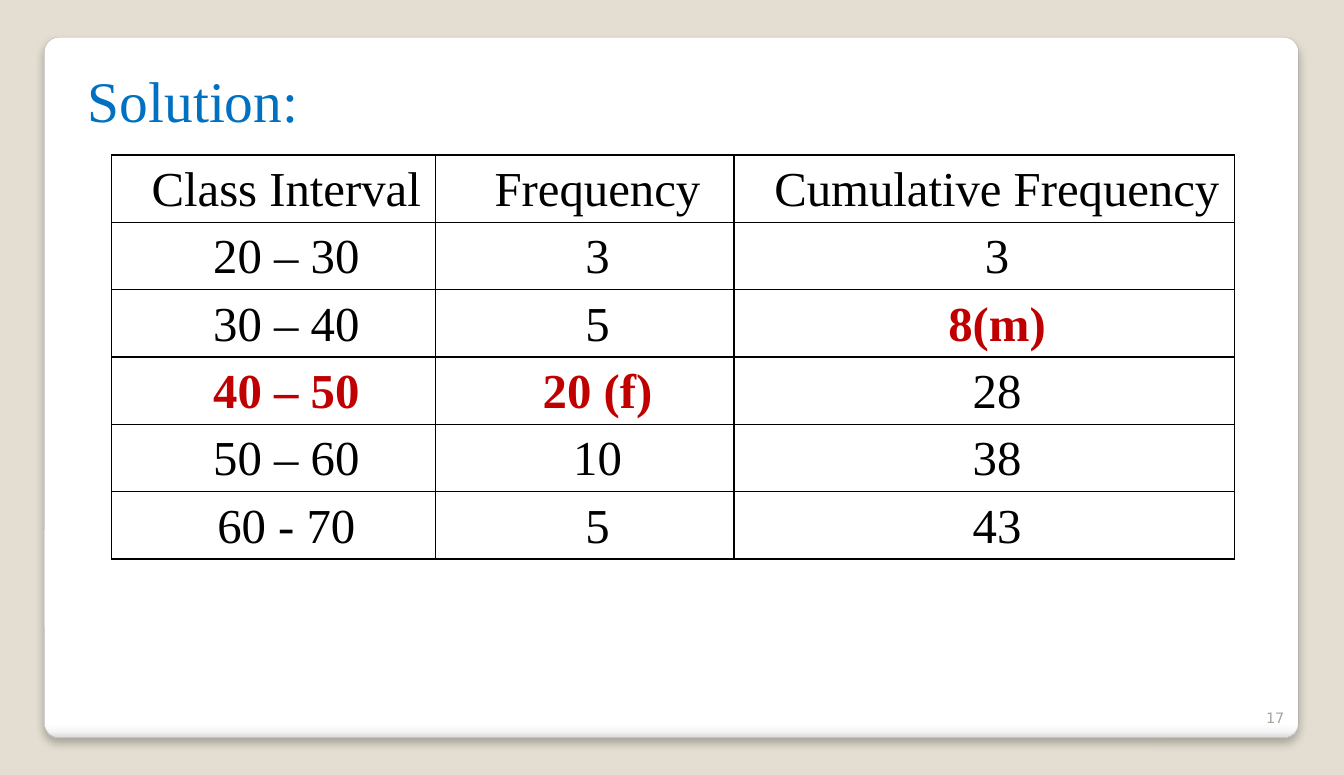
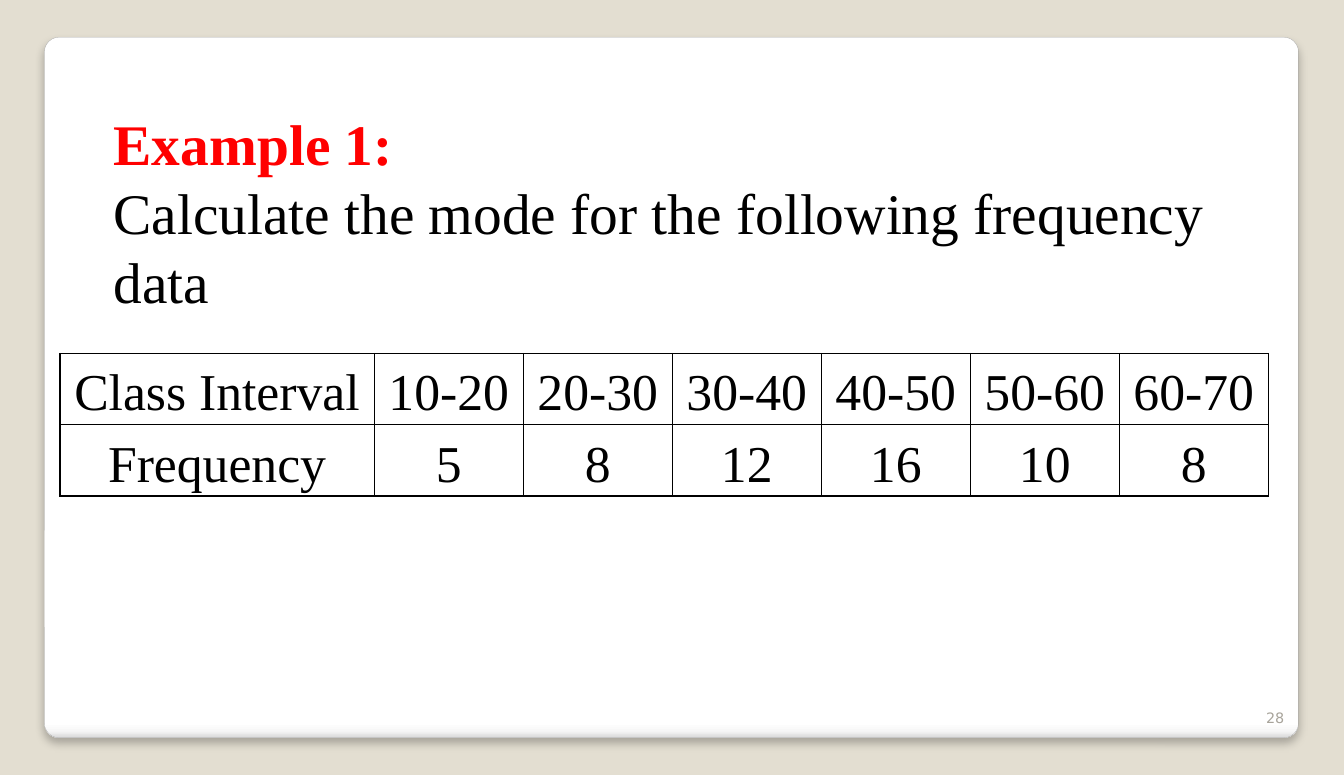
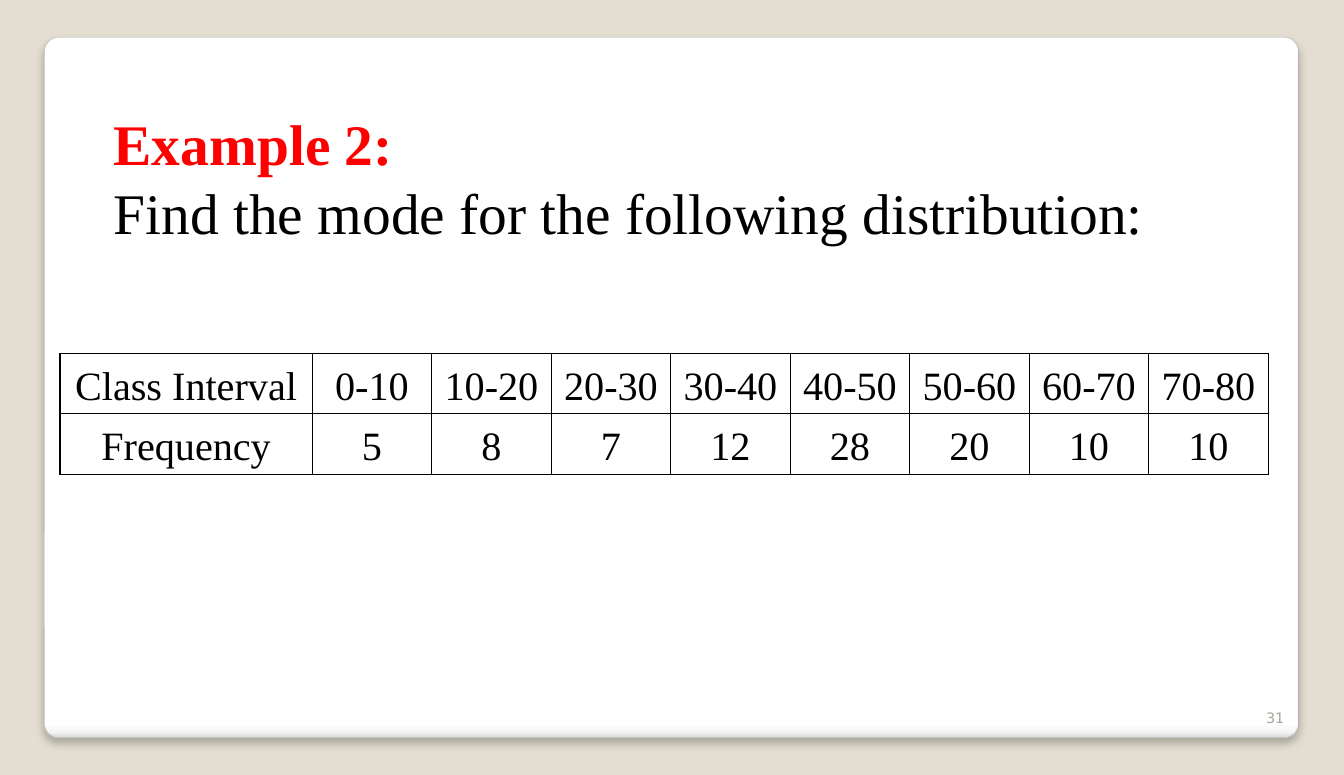
import pptx
import pptx.util
import pptx.dml.color
import pptx.enum.shapes
import pptx.enum.text
import pptx.oxml
import pptx.oxml.ns

COLS, ROWS = 52, 30
WIDTH, HEIGHT = pptx.util.Inches(13), pptx.util.Inches(7.5)
SERIF, SANS = "Times New Roman", "DejaVu Sans"
BACKDROP, PANEL_LINE, NUMBER = "E3DED1", "A4A4A4", "A8A49B"
BLACK, BLUE, RED, KEY = "000000", "0070C0", "FF0000", "C00000"
PANEL_STOPS = [(0, "FFFFFF"), (98, "FFFFFF"), (99, "F7F7F7"), (100, "DADADA")]
ALIGN = pptx.enum.text.PP_ALIGN
ANCHOR = pptx.enum.text.MSO_ANCHOR


def rgb(code):
    return pptx.dml.color.RGBColor.from_string(code)


def across(n):
    return round(WIDTH * n / COLS)


def down(n):
    return round(HEIGHT * n / ROWS)


def xml(tag, body, attrs=""):
    ns = pptx.oxml.ns.nsdecls("a")
    return pptx.oxml.parse_xml(f"<a:{tag} {ns} {attrs}>{body}</a:{tag}>")


class Deck:
    def __init__(self):
        self.prs = pptx.Presentation()
        self.prs.slide_width, self.prs.slide_height = WIDTH, HEIGHT
        self.layout = self.prs.slide_layouts.get_by_name("Title Only")
        fill = self.prs.slide_master.background.fill
        fill.solid()
        fill.fore_color.rgb = rgb(BACKDROP)
        self.s = None

    def slide(self, number):
        first = self.s is None
        self.s = self.prs.slides.add_slide(self.layout)
        if first:
            self.panel()
        self.number(number)

    def panel(self):
        sp = self.s.shapes.add_shape(
            pptx.enum.shapes.MSO_SHAPE.ROUNDED_RECTANGLE,
            across(1.72), down(1.44), across(48.52), down(27.12))
        sp.adjustments[0] = 0.021
        sp.line.color.rgb = rgb(PANEL_LINE)
        sp.line.width = pptx.util.Pt(0.16)
        stops = "".join(
            f'<a:gs pos="{pos * 1000}"><a:srgbClr val="{code}"/></a:gs>'
            for pos, code in PANEL_STOPS)
        spPr = sp.element.spPr
        spPr.insert(2, xml("gradFill", f'<a:gsLst>{stops}</a:gsLst>'
                           '<a:lin ang="5400000" scaled="0"/>'))
        spPr.append(xml("effectLst", (
            f'<a:outerShdw blurRad="{pptx.util.Pt(6)}" dist="{pptx.util.Pt(4)}" '
            'dir="5400000" algn="t" rotWithShape="0">'
            '<a:srgbClr val="000000"><a:alpha val="25000"/></a:srgbClr>'
            '</a:outerShdw>')))
        self.layout.shapes.element.insert(2, sp.element)

    def run(self, p, text, size, color=BLACK, bold=False, font=SERIF):
        r = p.add_run()
        r.text = text
        r.font.size = pptx.util.Pt(size)
        r.font.name = font
        r.font.bold = bold
        r.font.color.rgb = rgb(color)

    def number(self, number):
        sp = self.s.shapes.add_textbox(across(47.48), down(26.72), across(2.6), down(1.6))
        tf = sp.text_frame
        tf.word_wrap = True
        tf.vertical_anchor = ANCHOR.BOTTOM
        p = tf.paragraphs[0]
        p.alignment = ALIGN.RIGHT
        self.run(p, str(number), 10, NUMBER, font=SANS)

    def title(self, box, *lines):
        sp = self.s.shapes.title
        x, y, w, h = box
        sp.left, sp.top, sp.width, sp.height = across(x), down(y), across(w), down(h)
        tf = sp.text_frame
        tf.word_wrap = True
        tf.auto_size = pptx.enum.text.MSO_AUTO_SIZE.NONE
        tf.vertical_anchor = ANCHOR.TOP
        for i, (text, color, bold) in enumerate(lines):
            p = tf.add_paragraph() if i else tf.paragraphs[0]
            p.alignment = ALIGN.LEFT
            self.run(p, text, 40, color, bold)

    def table(self, x, y, widths, row, data, size, anchor=ANCHOR.MIDDLE,
              hanging=False, keys=()):
        frame = self.s.shapes.add_table(
            len(data), len(widths), across(x), down(y),
            across(sum(widths)), down(row * len(data)))
        table = frame.table
        table.first_row = table.horz_banding = False
        for col, width in zip(table.columns, widths):
            col.width = across(width)
        for i, texts in enumerate(data):
            table.rows[i].height = down(row)
            for j, text in enumerate(texts):
                key = text in keys
                self.cell(table.cell(i, j), text, size, anchor, hanging, key)

    def cell(self, cell, text, size, anchor, hanging, key):
        cell.vertical_anchor = anchor
        cell.margin_left = cell.margin_right = pptx.util.Inches(0.07)
        cell.margin_top = cell.margin_bottom = 0
        cell.fill.background()
        p = cell.text_frame.paragraphs[0]
        p.alignment = ALIGN.CENTER
        p.line_spacing = 1.15
        if hanging:
            pPr = p._p.get_or_add_pPr()
            pPr.set("marL", str(across(2)))
            pPr.set("indent", str(-across(1)))
        self.run(p, text, size, KEY if key else BLACK, key)
        tcPr = cell._tc.get_or_add_tcPr()
        for i, side in enumerate(("lnL", "lnR", "lnT", "lnB")):
            tcPr.insert(i, xml(
                side, f'<a:solidFill><a:srgbClr val="{BLACK}"/></a:solidFill>',
                f'w="{pptx.util.Pt(1)}"'))

    def example(self, page, heading, task, first, row, size, data):
        self.slide(page)
        count = len(data[0]) - 1
        widths = [first] + [(46.76 - first) / count] * count
        self.table(2.32, 13.68, widths, row, data, size)
        self.title((4, 4, 45.32, 9), (heading, RED, True), (task, BLACK, False))


def main():
    deck = Deck()
    deck.slide(17)
    deck.title((3, 2.32, 46.32, 3.5), ("Solution:", BLUE, False))
    deck.table(4.32, 6, [12.52, 11.56, 19.36], 2.6, [
        ["Class Interval", "Frequency", "Cumulative Frequency"],
        ["20 – 30", "3", "3"],
        ["30 – 40", "5", "8(m)"],
        ["40 – 50", "20 (f)", "28"],
        ["50 – 60", "10", "38"],
        ["60 - 70", "5", "43"],
    ], 34, ANCHOR.TOP, True, ("8(m)", "40 – 50", "20 (f)"))
    deck.example(
        28, "Example 1:", "Calculate the mode for the following frequency data",
        12.16, 2.76, 36, [
            ["Class Interval", "10-20", "20-30", "30-40", "40-50", "50-60", "60-70"],
            ["Frequency", "5", "8", "12", "16", "10", "8"],
        ])
    deck.example(
        31, "Example 2:", "Find the mode for the following distribution:",
        9.76, 2.34, 28, [
            ["Class Interval", "0-10", "10-20", "20-30", "30-40", "40-50", "50-60",
             "60-70", "70-80"],
            ["Frequency", "5", "8", "7", "12", "28", "20", "10", "10"],
        ])
    deck.prs.save("out.pptx")


if __name__ == "__main__":
    main()
